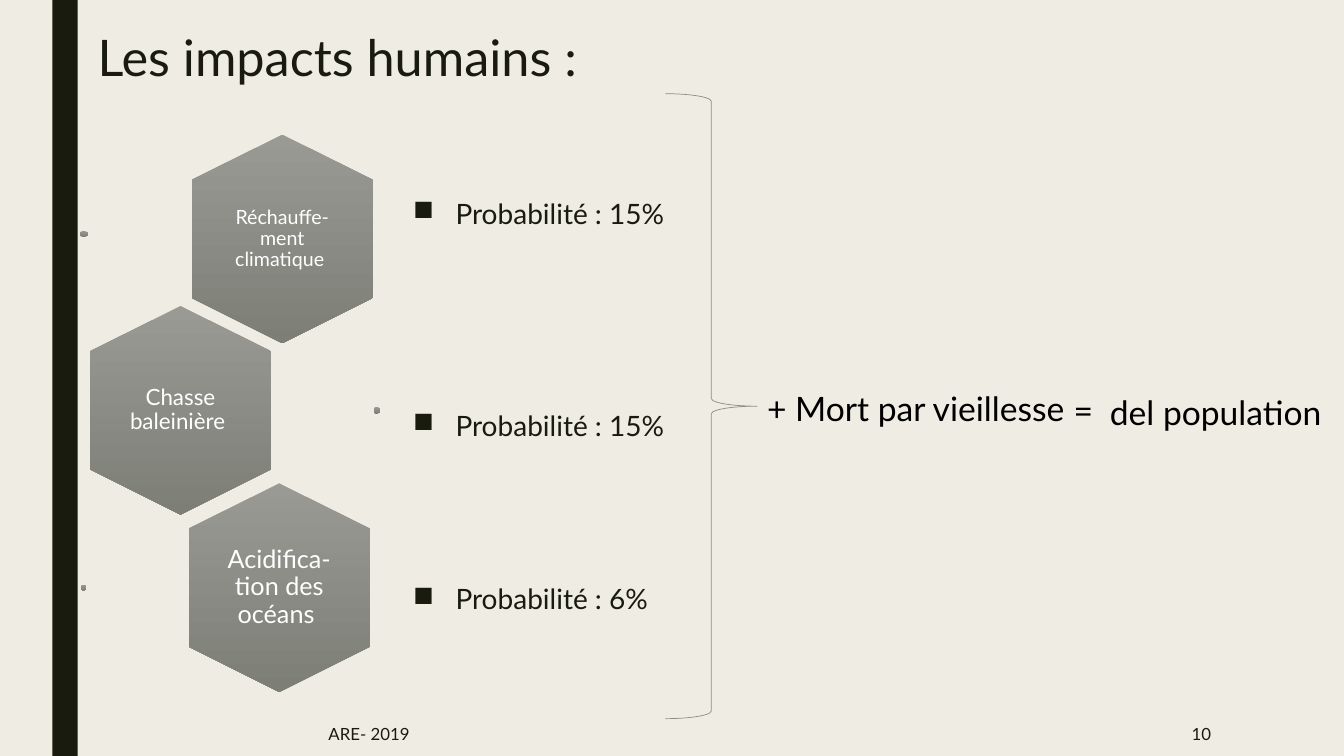
from pptx import Presentation
from pptx.dml.color import RGBColor
from pptx.enum.shapes import MSO_SHAPE
from pptx.enum.text import MSO_ANCHOR, MSO_AUTO_SIZE, PP_ALIGN
from pptx.oxml.ns import qn
from pptx.util import Inches, Pt
from lxml import etree

RECT, HEXAGON, BRACE = MSO_SHAPE.RECTANGLE, MSO_SHAPE.HEXAGON, MSO_SHAPE.RIGHT_BRACE
TOP, MIDDLE = MSO_ANCHOR.TOP, MSO_ANCHOR.MIDDLE
LEFT, CENTER, RIGHT = PP_ALIGN.LEFT, PP_ALIGN.CENTER, PP_ALIGN.RIGHT
FIT = MSO_AUTO_SIZE.SHAPE_TO_FIT_TEXT

TITLE = "Les impacts humains :"
IMPACTS = [
    {"cause": "Réchauffe-ment climatique ", "size": 14, "center": (2.8, 2.37),
     "dot": (0.8, 2.28, 0.06, 0.08), "odds": "Probabilité : 15%", "odds_top": 1.93},
    {"cause": "Chasse baleinière ", "size": 16, "center": (1.79, 4.07),
     "dot": (3.7, 4.04, 0.07, 0.06), "odds": "Probabilité : 15%", "odds_top": 4.03},
    {"cause": "Acidifica-tion des océans ", "size": 18, "center": (2.77, 5.83),
     "dot": (0.8, 5.8, 0.06, 0.06), "odds": "Probabilité : 6%", "odds_top": 5.75},
]
RESULT = [
    ("+ Mort par vieillesse", (7.51, 3.8, 3.18, 0.5)),
    ("=", (10.55, 3.82, 0.4, 0.5)),
    ("del population", (10.91, 3.84, 2.32, 0.5)),
]
FOOTER = [
    ("ARE- 2019", (3.16, 7.06, 6.87, 0.44), LEFT),
    ("10", (10.36, 7.06, 1.75, 0.44), RIGHT),
]
HEX_SIZE = (2.07, 1.8)
LABEL_SIZE = (1.24, 1.42)

THEME = {
    "font": "Lato", "bg": "EFEDE3", "dark": "191B0E", "black": "000000",
    "white": "FFFFFF", "brace": "8C8D86", "gradient": ("999A94", "7D7E76"),
    "title": 36, "result": 24, "odds": 20, "footer": 12,
}


def rgb(name):
    return RGBColor.from_string(THEME[name])


def centered(center, size):
    return (center[0] - size[0] / 2, center[1] - size[1] / 2, *size)


def add_shape(s, kind, box):
    sp = s.shapes.add_shape(kind, *map(Inches, box))
    sp.shadow.inherit = False
    sp.line.fill.background()
    return sp


def add_hexagon(s, box, rotation):
    sp = add_shape(s, HEXAGON, box)
    sp.rotation = rotation
    sp.fill.gradient()
    sp.fill.gradient_angle = 270
    for stop, color in zip(sp.fill.gradient_stops, THEME["gradient"]):
        stop.color.rgb = RGBColor.from_string(color)
    sp._element.spPr.find(qn("a:gradFill")).set("rotWithShape", "0")


def add_text(s, text, box, size, color="dark", align=LEFT, anchor=TOP,
             spacing=None, inset=None, wrap=True):
    sp = s.shapes.add_textbox(*map(Inches, box))
    tf = sp.text_frame
    tf.word_wrap = wrap
    tf.vertical_anchor = anchor
    if not wrap:
        tf.auto_size = FIT
    if inset is not None:
        tf.margin_left = tf.margin_right = Inches(inset)
        tf.margin_top = tf.margin_bottom = Inches(inset)
    p = tf.paragraphs[0]
    p.alignment = align
    if spacing:
        p.line_spacing = spacing
    r = p.add_run()
    r.text = text
    r.font.name = THEME["font"]
    r.font.size = Pt(size)
    r.font.color.rgb = rgb(color)
    return p


def add_bullet(p):
    p.space_before, p.space_after = Pt(10), Pt(2)
    pPr = p._p.get_or_add_pPr()
    pPr.set("marL", str(Inches(0.42)))
    pPr.set("indent", str(Inches(-0.42)))
    etree.SubElement(pPr, qn("a:buChar")).set("char", "■")


def main():
    prs = Presentation()
    prs.slide_width, prs.slide_height = Inches(13.33), Inches(7.5)
    s = prs.slides.add_slide(prs.slide_layouts[6])
    s.background.fill.solid()
    s.background.fill.fore_color.rgb = rgb("bg")

    bar = add_shape(s, RECT, (0.52, 0, 0.25, 7.5))
    bar.fill.solid()
    bar.fill.fore_color.rgb = rgb("dark")
    add_text(s, TITLE, (0.87, 0.28, 6.27, 1.27), THEME["title"], spacing=0.89)

    for impact in IMPACTS:
        add_hexagon(s, centered(impact["center"], HEX_SIZE), 90)
        add_text(s, impact["cause"], centered(impact["center"], LABEL_SIZE),
                 impact["size"], "white", CENTER, MIDDLE, 0.9, 0.07)
        add_hexagon(s, impact["dot"], 270)
        p = add_text(s, impact["odds"], (4, impact["odds_top"], 4.86, 0.55),
                     THEME["odds"], spacing=0.94)
        add_bullet(p)

    brace = add_shape(s, BRACE, (6.6, 0.93, 0.91, 6.2))
    brace.fill.background()
    brace.line.color.rgb = rgb("brace")
    brace.line.width = Pt(0.5)

    for text, box in RESULT:
        add_text(s, text, box, THEME["result"], "black", wrap=False)
    for text, box, align in FOOTER:
        add_text(s, text, box, THEME["footer"], align=align, anchor=MIDDLE)

    prs.save("out.pptx")


if __name__ == "__main__":
    main()
